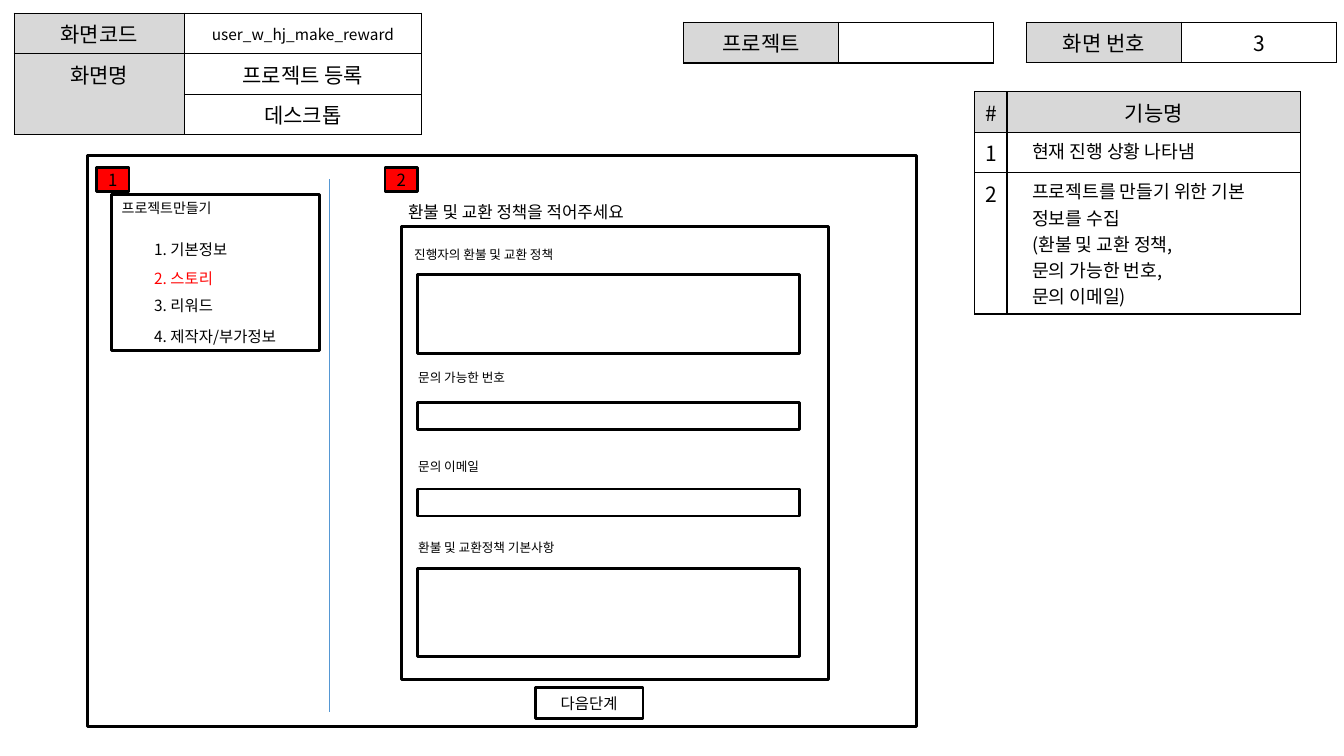
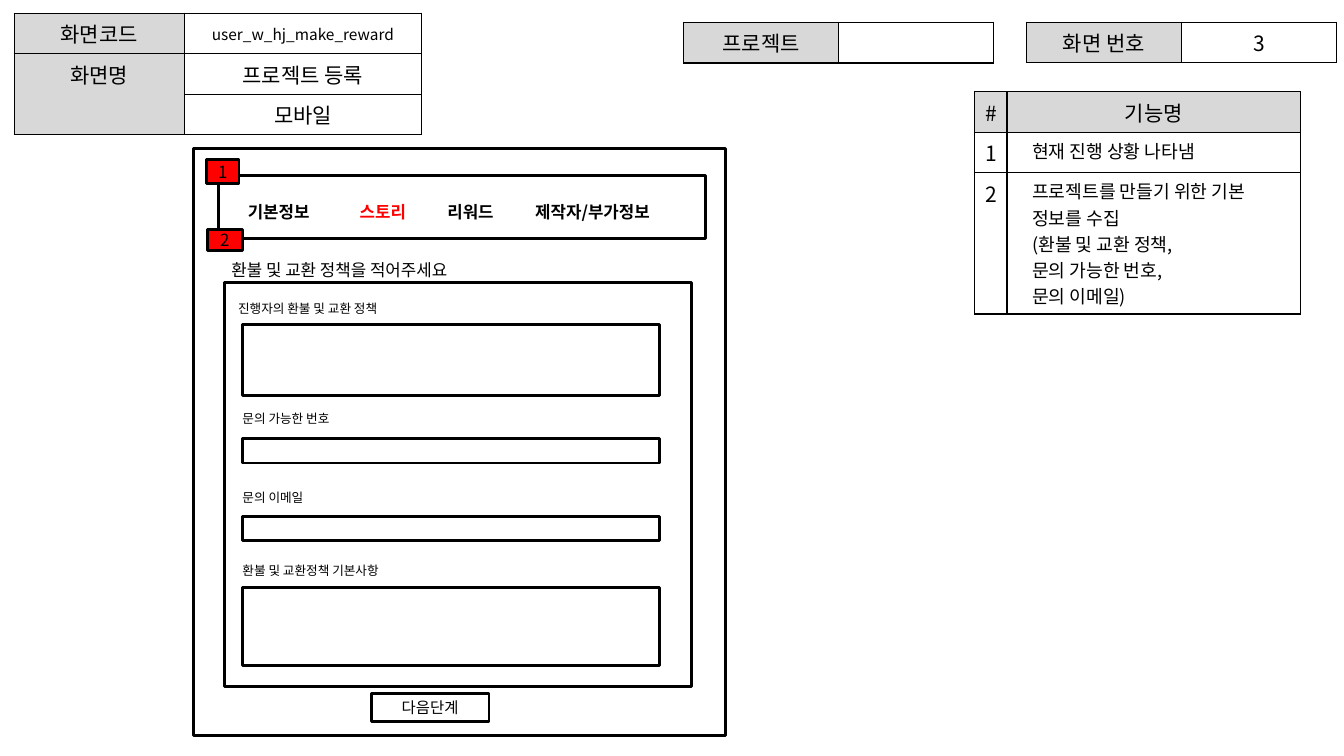
from dataclasses import dataclass

from lxml import etree
from pptx import Presentation, util as u
from pptx.dml.color import RGBColor
from pptx.enum import shapes, text
from pptx.oxml import ns

FONT = "Noto Sans CJK KR"
BLACK, WHITE, GRAY, RED, BLUE = "000000", "FFFFFF", "D8D8D8", "FF0000", "5597D3"
FRAME_PT, BORDER_PT = 2, 0.96
CENTER, LEFT = text.PP_ALIGN.CENTER, text.PP_ALIGN.LEFT


@dataclass(frozen=True)
class Box:
    """Left, top, width and height: inches for the slide, else percent of the parent."""
    x: float
    y: float
    w: float
    h: float

    def inside(self, parent: "Box") -> "Box":
        return Box(parent.x + parent.w * self.x / 100, parent.y + parent.h * self.y / 100,
                   parent.w * self.w / 100, parent.h * self.h / 100)

    def emu(self) -> list[int]:
        return [u.Inches(v) for v in (self.x, self.y, self.w, self.h)]


@dataclass(frozen=True)
class Label:
    caption: str
    box: Box
    size: float
    color: str = BLACK
    bold: bool = False


@dataclass(frozen=True)
class Cell:
    caption: str = ""
    fill: str = WHITE
    size: float = 15
    align: text.PP_ALIGN = CENTER
    indent: float = 0
    anchor: text.MSO_ANCHOR = text.MSO_ANCHOR.TOP


@dataclass(frozen=True)
class Grid:
    """A table; its place, columns and rows are percent of the slide."""
    x: float
    y: float
    cols: list[float]
    rows: list[float]
    cells: list[list[Cell]]


@dataclass(frozen=True)
class Screen:
    device: str
    frame: Box
    panel: Box
    menu: Box
    badge: Box
    labels: list[Label]
    divider: Box | None = None


SLIDE = Box(0, 0, 13.33, 7.5)
ROW = 5.37

# Form parts, in percent of the form panel
HEADING = Label("환불 및 교환 정책을 적어주세요", Box(-0.71, -6.68, 77.6, 10.02), 12)
FORM_BADGE = Box(-3.77, -13.14, 7.55, 5.35)
BUTTON = Box(31.37, 101.78, 25.24, 6.9)
FORM_LABELS = [
    Label(caption, Box(x, y, 77.6, 5.57), 9)
    for caption, x, y in [("진행자의 환불 및 교환 정책", 0.71, 3.34),
                          ("문의 가능한 번호", 1.65, 30.51),
                          ("문의 이메일", 1.65, 50.11),
                          ("환불 및 교환정책 기본사항", 1.65, 68.15)]]
FIELDS = [Box(3.77, y, 89.39, h)
          for y, h in [(10.47, 17.59), (38.75, 6.01), (57.91, 6.01), (75.5, 19.38)]]

STEPS = ["기본정보", "스토리", "리워드", "제작자/부가정보"]
STEP_COLORS = [BLACK, RED, BLACK, BLACK]

SIDE_MENU = [Label(f"{i}. {step}", Box(10.73, y, 15.98, 3.73), 11, color)
             for i, (step, color, y) in enumerate(
                 zip(STEPS, STEP_COLORS, [31.07, 34.93, 38.53, 42.67]), start=1)]
TOP_MENU = [Label(step, Box(x, 26, w, 4), 12, color, True)
            for step, color, x, w in zip(STEPS, STEP_COLORS, [17.7, 26.03, 32.55, 39.08],
                                         [9.75, 9.45, 9.45, 15.98])]

SCREENS = [
    Screen("데스크톱", frame=Box(6.52, 20.53, 61.65, 75.6),
           panel=Box(29.85, 30, 31.8, 59.87), menu=Box(8.32, 25.73, 15.45, 20.67),
           badge=Box(7.2, 22.13, 2.4, 3.2),
           labels=[Label("프로젝트만들기", Box(8.32, 25.73, 10.88, 3.47), 10), *SIDE_MENU],
           divider=Box(24.53, 23.73, 0, 70.4)),
    Screen("모바일", frame=Box(14.4, 19.6, 39.6, 77.73),
           panel=Box(16.73, 37.33, 34.73, 53.47), menu=Box(16.28, 23.2, 36.22, 8.4),
           badge=Box(15.38, 21.07, 2.4, 3.2), labels=TOP_MENU),
]


def head(caption: str) -> Cell:
    return Cell(caption, GRAY)


def note(caption: str) -> Cell:
    return Cell(caption, size=13, align=LEFT, indent=0.15)


PROJECT = Grid(50.85, 2.93, [11.55] * 2, [ROW], [[head("프로젝트"), Cell()]])
NUMBER = Grid(76.35, 2.93, [11.55] * 2, [ROW], [[head("화면 번호"), Cell("3")]])
FEATURES = Grid(72.53, 12.13, [2.4, 21.83], [ROW, ROW, 18.67], [
    [head("#"), head("기능명")],
    [Cell("1"), note("현재 진행 상황 나타냄")],
    [Cell("2"), note("프로젝트를 만들기 위한 기본 정보를 수집\n(환불 및 교환 정책,\n"
                     "문의 가능한 번호,\n문의 이메일)")],
])


def screen_info(device: str) -> Grid:
    code = Cell("user_w_hj_make_reward", size=11, anchor=text.MSO_ANCHOR.MIDDLE)
    return Grid(1.05, 1.73, [12.68, 17.63], [ROW] * 3, [
        [head("화면코드"), code],
        [head("화면명"), Cell("프로젝트 등록")],
        [head(""), Cell(device)],
    ])


def rgb(color: str) -> RGBColor:
    return RGBColor.from_string(color)


def style_text(tf, size: float, color: str = BLACK, bold: bool = False, align=LEFT) -> None:
    for p in tf.paragraphs:
        p.alignment = align
        for r in p.runs:
            r.font.size = u.Pt(size)
            r.font.bold = bold
            r.font.color.rgb = rgb(color)
            r.font.name = FONT
            etree.SubElement(r.font._element, ns.qn("a:ea"), typeface=FONT)


def add_label(s, label: Label, parent: Box = SLIDE) -> None:
    tf = s.shapes.add_textbox(*label.box.inside(parent).emu()).text_frame
    tf.word_wrap = True
    tf.text = label.caption
    style_text(tf, label.size, label.color, label.bold)


def add_frame(s, box: Box, parent: Box = SLIDE, caption: str = "", size: float = 12,
              fill: str | None = None) -> None:
    sp = s.shapes.add_shape(shapes.MSO_SHAPE.RECTANGLE, *box.inside(parent).emu())
    sp.shadow.inherit = False
    if fill:
        sp.fill.solid()
        sp.fill.fore_color.rgb = rgb(fill)
    else:
        sp.fill.background()
    sp.line.color.rgb = rgb(BLACK)
    sp.line.width = u.Pt(FRAME_PT)
    if caption:
        tf = sp.text_frame
        tf.vertical_anchor = text.MSO_ANCHOR.MIDDLE
        tf.text = caption
        style_text(tf, size, align=CENTER)


def add_divider(s, box: Box) -> None:
    x, y, w, h = box.inside(SLIDE).emu()
    line = s.shapes.add_connector(shapes.MSO_CONNECTOR.STRAIGHT, x, y, x + w, y + h)
    line.line.color.rgb = rgb(BLUE)
    line.line.width = u.Pt(0.75)
    etree.SubElement(line._element.spPr, ns.qn("a:effectLst"))


def set_borders(cell) -> None:
    tc_pr = cell._tc.get_or_add_tcPr()
    for i, side in enumerate(("lnL", "lnR", "lnT", "lnB")):
        ln = etree.Element(ns.qn(f"a:{side}"), w=str(int(u.Pt(BORDER_PT))))
        fill = etree.SubElement(ln, ns.qn("a:solidFill"))
        etree.SubElement(fill, ns.qn("a:srgbClr"), val=BLACK)
        tc_pr.insert(i, ln)


def fill_cell(cell, content: Cell) -> None:
    cell.fill.solid()
    cell.fill.fore_color.rgb = rgb(content.fill)
    cell.vertical_anchor = content.anchor
    set_borders(cell)
    tf = cell.text_frame
    tf.text = content.caption
    style_text(tf, content.size, align=content.align)
    if content.indent:
        for p in tf.paragraphs:
            p_pr = p._p.get_or_add_pPr()
            p_pr.set("marL", str(int(u.Inches(content.indent))))
            p_pr.set("indent", "0")


def add_grid(s, grid: Grid):
    box = Box(grid.x, grid.y, sum(grid.cols), sum(grid.rows)).inside(SLIDE)
    table = s.shapes.add_table(len(grid.rows), len(grid.cols), *box.emu()).table
    table.first_row = table.horz_banding = False
    for column, share in zip(table.columns, grid.cols):
        column.width = u.Inches(SLIDE.w * share / 100)
    for row, share, contents in zip(table.rows, grid.rows, grid.cells):
        row.height = u.Inches(SLIDE.h * share / 100)
        for cell, content in zip(row.cells, contents):
            fill_cell(cell, content)
    return table


def add_form(s, panel: Box) -> None:
    """Draw the form, scaled to the panel."""
    area = panel.inside(SLIDE)
    add_frame(s, panel)
    add_label(s, HEADING, area)
    add_frame(s, FORM_BADGE, area, "2", fill=RED)
    for label, field in zip(FORM_LABELS, FIELDS):
        add_label(s, label, area)
        add_frame(s, field, area)
    add_frame(s, BUTTON, area, "다음단계", 11)


def add_screen(prs, screen: Screen) -> None:
    s = prs.slides.add_slide(prs.slide_layouts[6])
    for grid in (PROJECT, NUMBER, FEATURES):
        add_grid(s, grid)
    info = add_grid(s, screen_info(screen.device))
    info.cell(1, 0).merge(info.cell(2, 0))
    add_frame(s, screen.frame)
    if screen.divider:
        add_divider(s, screen.divider)
    add_frame(s, screen.menu)
    for label in screen.labels:
        add_label(s, label)
    add_frame(s, screen.badge, caption="1", fill=RED)
    add_form(s, screen.panel)


def main() -> None:
    prs = Presentation()
    prs.slide_width, prs.slide_height = u.Inches(SLIDE.w), u.Inches(SLIDE.h)
    for screen in SCREENS:
        add_screen(prs, screen)
    prs.save("out.pptx")


if __name__ == "__main__":
    main()
